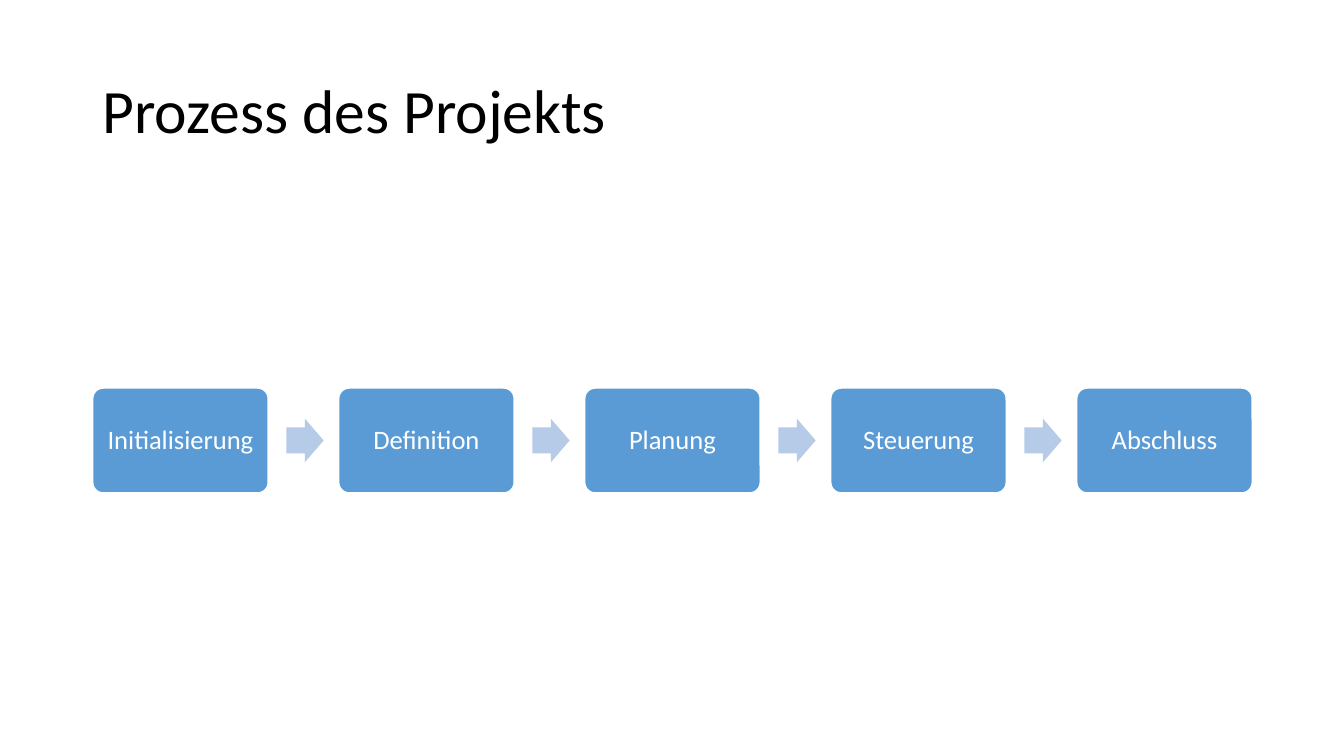
from dataclasses import dataclass

from pptx import Presentation
from pptx.dml.color import RGBColor
from pptx.enum.shapes import MSO_SHAPE
from pptx.enum.text import MSO_ANCHOR, PP_ALIGN
from pptx.util import Inches, Pt


@dataclass(frozen=True)
class Theme:
    font: str = "Calibri"
    title_size: int = 44
    step_size: int = 19
    title_color: str = "000000"
    step_text: str = "FFFFFF"
    step_fill: str = "5B9BD5"
    step_line: str = "FFFFFF"
    arrow_fill: str = "B5CBE7"


THEME = Theme()
SLIDE_WIDTH, SLIDE_HEIGHT = 13.33, 7.5
MARGIN = 0.92
CONTENT_WIDTH = 11.5
TITLE_TOP, TITLE_HEIGHT = 0.4, 1.45
STEPS = ["Initialisierung", "Definition", "Planung", "Steuerung", "Abschluss"]
STEP_WIDTH, STEP_HEIGHT = 1.74, 1.04
STEP_INSET = 0.11
STEP_PITCH = (CONTENT_WIDTH - STEP_WIDTH) / (len(STEPS) - 1)
ROW_MIDDLE = 4.37
ARROW_WIDTH, ARROW_HEIGHT = 0.37, 0.43
ARROW_GAP = 0.18


def write_text(box, text, *, size, color, align=PP_ALIGN.LEFT, inset=0.1):
    frame = box.text_frame
    frame.word_wrap = True
    frame.vertical_anchor = MSO_ANCHOR.MIDDLE
    frame.margin_left = frame.margin_right = Inches(inset)
    frame.margin_top = frame.margin_bottom = Inches(inset)
    para = frame.paragraphs[0]
    para.alignment = align
    para.line_spacing = 0.9
    span = para.add_run()
    span.text = text
    span.font.name = THEME.font
    span.font.size = Pt(size)
    span.font.color.rgb = RGBColor.from_string(color)


def add_title(page, text):
    box = page.shapes.add_textbox(Inches(MARGIN), Inches(TITLE_TOP),
                                  Inches(CONTENT_WIDTH), Inches(TITLE_HEIGHT))
    write_text(box, text, size=THEME.title_size, color=THEME.title_color)


def add_row_shape(row, kind, left, width, height, *, fill, adjustments, line=None):
    """Add a filled preset shape centred vertically on the process row."""
    shape = row.shapes.add_shape(kind, Inches(left), Inches(ROW_MIDDLE - height / 2),
                                 Inches(width), Inches(height))
    shape.shadow.inherit = False
    shape.fill.solid()
    shape.fill.fore_color.rgb = RGBColor.from_string(fill)
    if line:
        shape.line.color.rgb = RGBColor.from_string(line)
        shape.line.width = Pt(1)
    else:
        shape.line.fill.background()
    for index, value in enumerate(adjustments):
        shape.adjustments[index] = value
    return shape


def add_step(row, left, text):
    box = add_row_shape(row, MSO_SHAPE.ROUNDED_RECTANGLE, left, STEP_WIDTH, STEP_HEIGHT,
                        fill=THEME.step_fill, adjustments=[0.1], line=THEME.step_line)
    write_text(box, text, size=THEME.step_size, color=THEME.step_text,
               align=PP_ALIGN.CENTER, inset=STEP_INSET)


def add_arrow(row, left):
    add_row_shape(row, MSO_SHAPE.RIGHT_ARROW, left, ARROW_WIDTH, ARROW_HEIGHT,
                  fill=THEME.arrow_fill, adjustments=[0.6, 0.5])


def add_process(page, steps):
    row = page.shapes.add_group_shape()
    for index, step in enumerate(steps):
        left = MARGIN + index * STEP_PITCH
        add_step(row, left, step)
        if index < len(steps) - 1:
            add_arrow(row, left + STEP_WIDTH + ARROW_GAP)


def main():
    deck = Presentation()
    deck.slide_width, deck.slide_height = Inches(SLIDE_WIDTH), Inches(SLIDE_HEIGHT)
    page = deck.slides.add_slide(deck.slide_layouts[6])
    add_title(page, "Prozess des Projekts")
    add_process(page, STEPS)
    deck.save("out.pptx")


if __name__ == "__main__":
    main()
